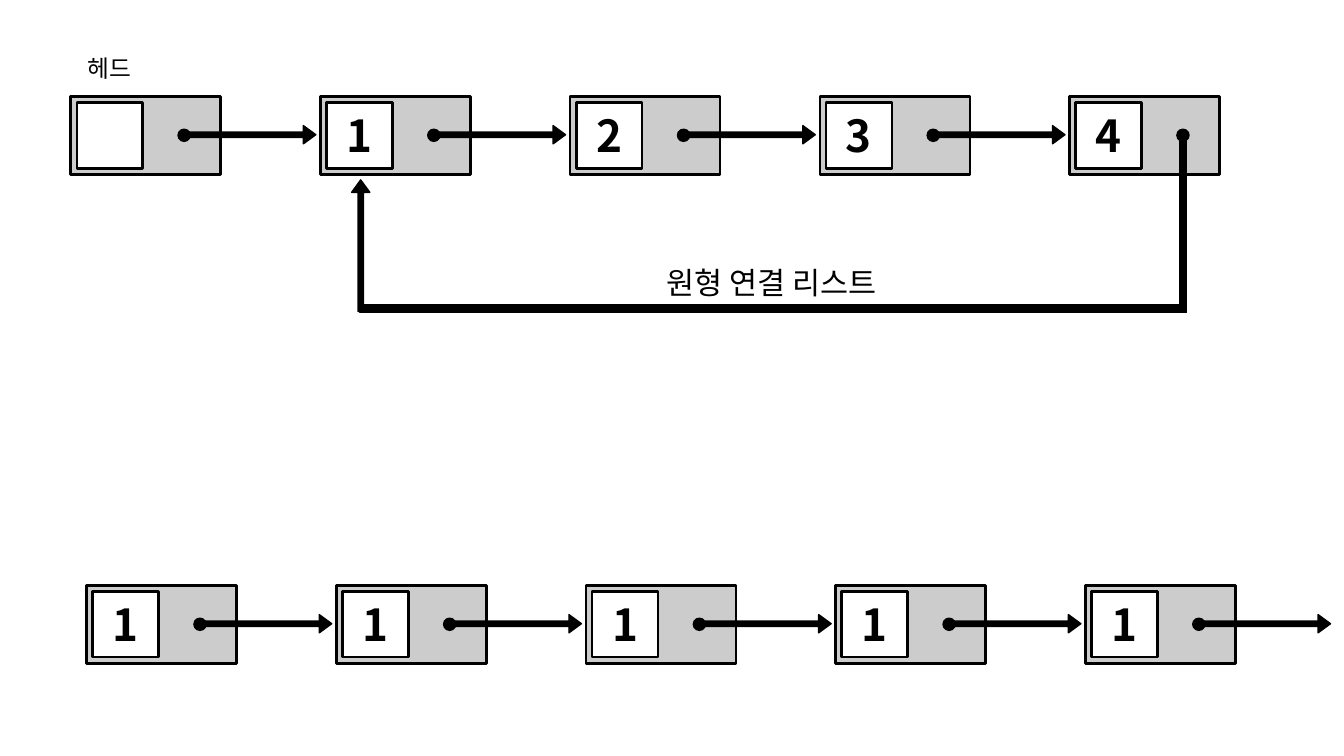
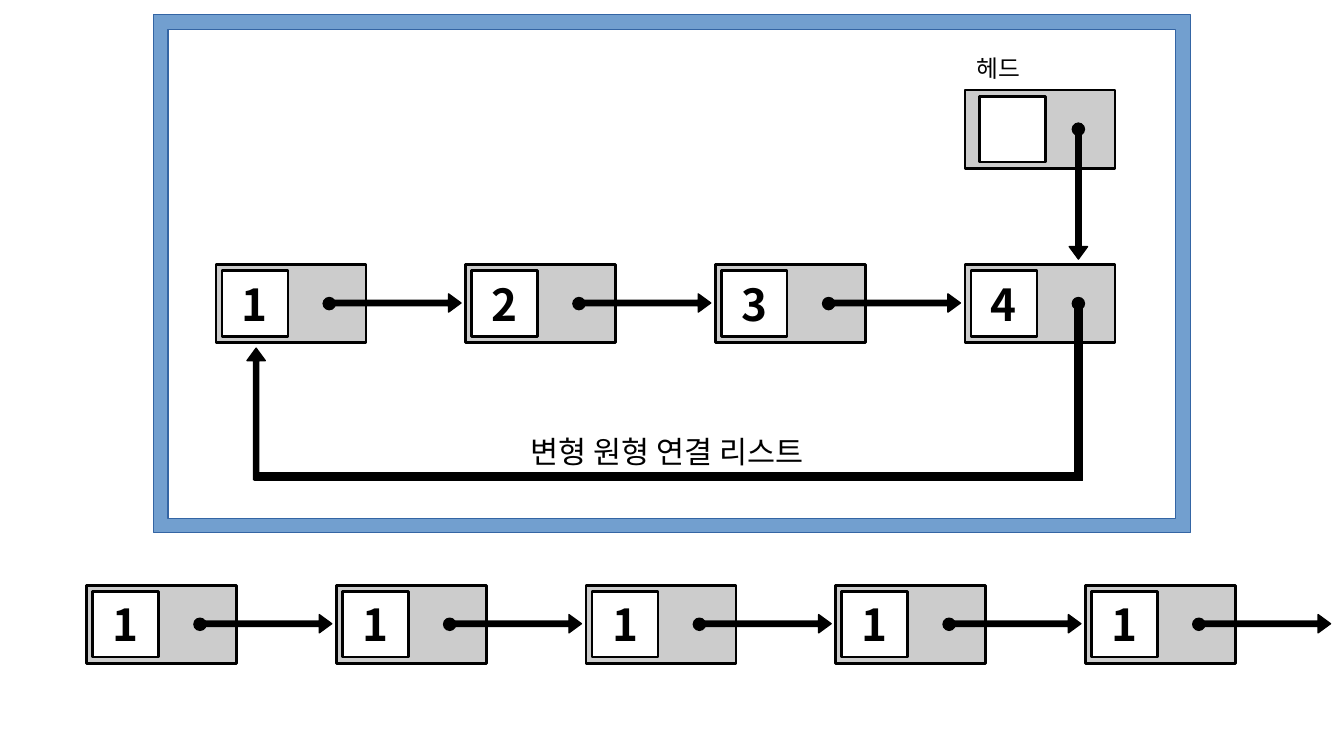
from dataclasses import dataclass

from pptx import Presentation
from pptx.dml.color import RGBColor
from pptx.enum.shapes import MSO_SHAPE
from pptx.enum.text import MSO_ANCHOR, MSO_AUTO_SIZE, PP_ALIGN
from pptx.oxml.ns import qn
from pptx.util import Inches, Pt


@dataclass(frozen=True)
class Theme:
    font: str = "Noto Sans CJK KR"
    ink: str = "000000"
    node: str = "CCCCCC"
    cell: str = "FFFFFF"
    frame: str = "729FCF"
    frame_line: str = "3465A4"
    number_size: int = 26
    caption_size: int = 18
    label_size: int = 14
    box_line: float = 1.5
    arrow_line: float = 0.79


NODE_WIDTH, NODE_HEIGHT = 1.23, 0.64
NODE_PITCH = 8.19 / 4
CELL_SIZE, CELL_INSET = 0.54, 0.05
ARROW_LENGTH, ARROW_HEIGHT = 1.08, 0.15
DOT_SIZE = 0.1
BAR = 0.06
LOOP_DEPTH = 1.71


class ListDiagram:
    def __init__(self, presentation, theme):
        self.presentation = presentation
        self.theme = theme
        self.slide = None

    def new_slide(self):
        self.slide = self.presentation.slides.add_slide(self.presentation.slide_layouts[6])

    def shape(self, kind, left, top, width, height, fill, line, line_width):
        shape = self.slide.shapes.add_shape(
            kind, Inches(left), Inches(top), Inches(width), Inches(height))
        shape.shadow.inherit = False
        shape.fill.solid()
        shape.fill.fore_color.rgb = RGBColor.from_string(fill)
        shape.line.color.rgb = RGBColor.from_string(line)
        shape.line.width = Pt(line_width)
        return shape

    def set_text(self, text_frame, text, size, alignment, bold=False):
        text_frame.text = text
        paragraph = text_frame.paragraphs[0]
        paragraph.alignment = alignment
        run = paragraph.runs[0]
        run.font.name = self.theme.font
        run.font.size = Pt(size)
        run.font.bold = bold
        run.font.color.rgb = RGBColor.from_string(self.theme.ink)
        latin = run._r.get_or_add_rPr().find(qn("a:latin"))
        latin.addnext(latin.makeelement(qn("a:ea"), {"typeface": self.theme.font}))

    def text(self, text, left, top, width, height, size, alignment, wrap):
        box = self.slide.shapes.add_textbox(
            Inches(left), Inches(top), Inches(width), Inches(height))
        box.text_frame.word_wrap = wrap
        box.text_frame.auto_size = MSO_AUTO_SIZE.SHAPE_TO_FIT_TEXT
        self.set_text(box.text_frame, text, size, alignment)

    def label(self, text, left, top):
        self.text(text, left, top, 0.56, 0.38, self.theme.label_size, PP_ALIGN.LEFT, False)

    def box(self, left, top, width, height, fill):
        return self.shape(MSO_SHAPE.FLOWCHART_PROCESS, left, top, width, height,
                          fill, self.theme.ink, self.theme.box_line)

    def node(self, left, top, value="", cell_offset=CELL_INSET):
        self.box(left, top, NODE_WIDTH, NODE_HEIGHT, self.theme.node)
        cell = self.box(left + cell_offset, top + CELL_INSET,
                        CELL_SIZE, CELL_SIZE, self.theme.cell)
        if value:
            frame = cell.text_frame
            frame.margin_left = frame.margin_right = Inches(0.11)
            frame.margin_top = frame.margin_bottom = Inches(0.06)
            frame.vertical_anchor = MSO_ANCHOR.MIDDLE
            frame.word_wrap = False
            self.set_text(frame, value, self.theme.number_size, PP_ALIGN.CENTER, True)

    def arrow(self, left, top, rotation=0):
        arrow = self.shape(MSO_SHAPE.RIGHT_ARROW, left, top, ARROW_LENGTH, ARROW_HEIGHT,
                           self.theme.ink, self.theme.ink, self.theme.arrow_line)
        arrow.adjustments[0] = 0.295
        arrow.adjustments[1] = 0.682
        arrow.rotation = rotation

    def dot(self, node_left, node_top):
        self.shape(MSO_SHAPE.FLOWCHART_CONNECTOR, node_left + 0.88, node_top + 0.27,
                   DOT_SIZE, DOT_SIZE, self.theme.ink, self.theme.ink, self.theme.arrow_line)

    def chain(self, left, top, values, open_end=False):
        for index, value in enumerate(values):
            node_left = left + index * NODE_PITCH
            self.node(node_left, top, value)
            if open_end or index < len(values) - 1:
                self.arrow(node_left + 0.93, top + 0.24)
            self.dot(node_left, top)

    def bar(self, left, top, width, height):
        self.shape(MSO_SHAPE.RECTANGLE, left, top, width, height,
                   self.theme.ink, self.theme.ink, 0)

    def loop(self, first_left, top, node_count, caption):
        last_left = first_left + (node_count - 1) * NODE_PITCH
        bar_left = first_left + 0.32
        bar_right = last_left + 0.96
        self.arrow(first_left - 0.21, top + 1.15, 270)
        self.bar(bar_left, top + LOOP_DEPTH, bar_right - bar_left, BAR)
        self.bar(bar_right - BAR, top + 0.31, BAR, LOOP_DEPTH + BAR - 0.31)
        self.text(caption, first_left + 0.36, top + 1.33, 6.68, 0.46,
                  self.theme.caption_size, PP_ALIGN.CENTER, True)

    def spare_chain(self):
        self.chain(0.71, 4.8, ["1"] * 5, open_end=True)

    def frame(self, left, top, width, height):
        frame = self.shape(MSO_SHAPE.FRAME, left, top, width, height,
                           self.theme.frame, self.theme.frame_line, 0)
        frame.adjustments[0] = 0.028


def circular_list(diagram):
    diagram.new_slide()
    left, top = 0.58, 0.79
    diagram.label("헤드", 0.62, 0.39)
    diagram.chain(left, top, ["", "1", "2", "3", "4"])
    diagram.loop(left + NODE_PITCH, top, 4, "원형 연결 리스트")
    diagram.spare_chain()


def modified_circular_list(diagram):
    diagram.new_slide()
    left, top = 1.77, 2.17
    head_left, head_top = left + 3 * NODE_PITCH, 0.74
    diagram.label("헤드", head_left, 0.39)
    diagram.node(head_left, head_top, cell_offset=0.12)
    diagram.arrow(head_left + 0.39, head_top + 0.77, 90)
    diagram.dot(head_left, head_top)
    diagram.chain(left, top, ["1", "2", "3", "4"])
    diagram.loop(left, top, 4, "변형 원형 연결 리스트")
    diagram.spare_chain()
    diagram.frame(1.26, 0.12, 8.5, 4.25)


def main():
    presentation = Presentation()
    presentation.slide_width = Inches(11.02)
    presentation.slide_height = Inches(6.2)
    diagram = ListDiagram(presentation, Theme())
    circular_list(diagram)
    modified_circular_list(diagram)
    presentation.save("out.pptx")


if __name__ == "__main__":
    main()
